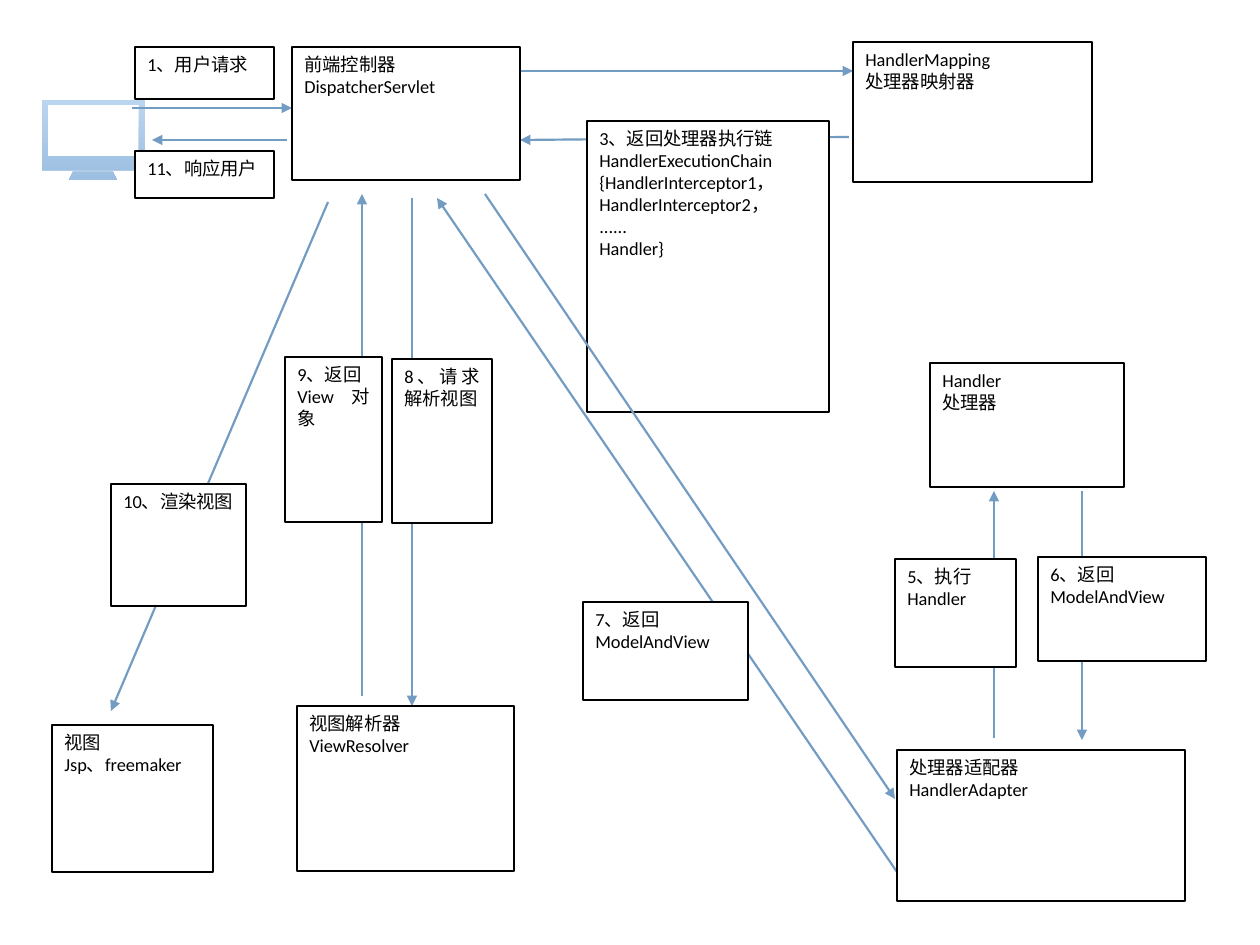
from dataclasses import dataclass
from lxml.etree import SubElement as Sub
from pptx import Presentation
from pptx.dml.color import RGBColor as Rgb
from pptx.enum.shapes import MSO_CONNECTOR as Conn, MSO_SHAPE as Geo
from pptx.enum.text import MSO_ANCHOR as Anchor, PP_ALIGN as Align
from pptx.oxml.ns import qn
from pptx.util import Pt

SCALE = 914400 / 126


def px(num):
    return round(num * SCALE)


@dataclass(frozen=True)
class Theme:
    ink: Rgb = Rgb(0, 0, 0)
    paper: Rgb = Rgb(255, 255, 255)
    flow: Rgb = Rgb.from_string("739CC3")
    light: Rgb = Rgb.from_string("BBD5F0")
    deep: Rgb = Rgb.from_string("9CBEE0")
    font: str = "Calibri"
    size: float = 10.5
    edge: float = 0.75
    stroke: float = 1.25


class Board:
    """Draws flow boxes, arrows and outlines on one slide in one style."""

    def __init__(self, slide, theme):
        self.shapes = slide.shapes
        self.theme = theme

    def box(self, left, top, wide, high, *lines):
        look = self.theme
        item = self.shapes.add_shape(Geo.RECTANGLE, *map(px, (left, top, wide, high)))
        item.shadow.inherit = False
        item.fill.solid()
        item.fill.fore_color.rgb = look.paper
        item.line.color.rgb = look.ink
        item.line.width = Pt(look.edge)
        frame = item.text_frame
        frame.word_wrap = True
        frame.vertical_anchor = Anchor.TOP
        for pos, line in enumerate(lines):
            para = frame.add_paragraph() if pos else frame.paragraphs[0]
            para.alignment = Align.JUSTIFY
            run = para.add_run()
            run.text = line
            run.font.name = look.font
            run.font.size = Pt(look.size)
            run.font.color.rgb = look.ink

    def arrow(self, *ends):
        item = self.shapes.add_connector(Conn.STRAIGHT, *map(px, ends))
        item.line.color.rgb = self.theme.flow
        item.line.width = Pt(self.theme.stroke)
        Sub(item.line._get_or_add_ln(), qn("a:tailEnd"), type="triangle")
        Sub(item._element.spPr, qn("a:effectLst"))

    def outline(self, *rings):
        pen = self.shapes.build_freeform(*rings[0][0], scale=SCALE)
        for pos, ring in enumerate(rings):
            if pos:
                pen.move_to(*ring[0])
            pen.add_line_segments(ring[1:], close=True)
        item = pen.convert_to_shape()
        item.shadow.inherit = False
        item.line.fill.background()
        item.fill.gradient()
        item.fill.gradient_angle = 270
        for stop, tone in zip(item.fill.gradient_stops, (self.theme.light, self.theme.deep)):
            stop.color.rgb = tone


STAND = ((73, 172), (113, 172), (117, 180), (69, 180))
SCREEN = ((48, 105), (48, 156), (139, 156), (139, 105))
CASE = ((42, 100), (145, 100), (145, 170), (42, 170))

ARROWS = (
    (132, 108, 292, 108),
    (287, 140, 152, 140),
    (520, 71, 853, 71),
    (485, 194, 895, 799),
    (994, 738, 994, 491),
    (1082, 491, 1082, 740),
    (897, 872, 437, 198),
    (412, 198, 412, 706),
    (362, 696, 362, 194),
    (328, 202, 111, 711),
)

PARTS = (
    (292, 47, 228, 133, "前端控制器", "DispatcherServlet"),
    (853, 42, 239, 140, "HandlerMapping", "处理器映射器"),
    (930, 363, 194, 124, "Handler", "处理器"),
    (897, 750, 288, 151, "处理器适配器", "HandlerAdapter"),
    (297, 706, 217, 165, "视图解析器", "ViewResolver"),
    (52, 725, 161, 147, "视图", "Jsp、freemaker"),
)

STEPS = (
    (135, 47, 139, 52, "1、用户请求"),
    (895, 559, 121, 108, "5、执行", "Handler"),
    (1038, 557, 168, 104, "6、返回", "ModelAndView"),
    (583, 602, 165, 98, "7、返回", "ModelAndView"),
    (392, 359, 100, 164, "8、请求解析视图"),
    (285, 357, 97, 165, "9、返回", "View对象"),
    (111, 484, 135, 122, "10、渲染视图"),
    (135, 151, 139, 47, "11、响应用户"),
)

deck = Presentation()
deck.slide_width, deck.slide_height = px(1260), px(945)
board = Board(deck.slides.add_slide(deck.slide_layouts[6]), Theme())

board.outline(STAND, SCREEN, CASE)
board.arrow(849, 137, 520, 140)
board.box(587, 121, 242, 291, "3、返回处理器执行链", "HandlerExecutionChain",
          "{HandlerInterceptor1，", "HandlerInterceptor2，", "......", "Handler}")
for ends in ARROWS:
    board.arrow(*ends)
for args in PARTS + STEPS:
    board.box(*args)

deck.save("out.pptx")
